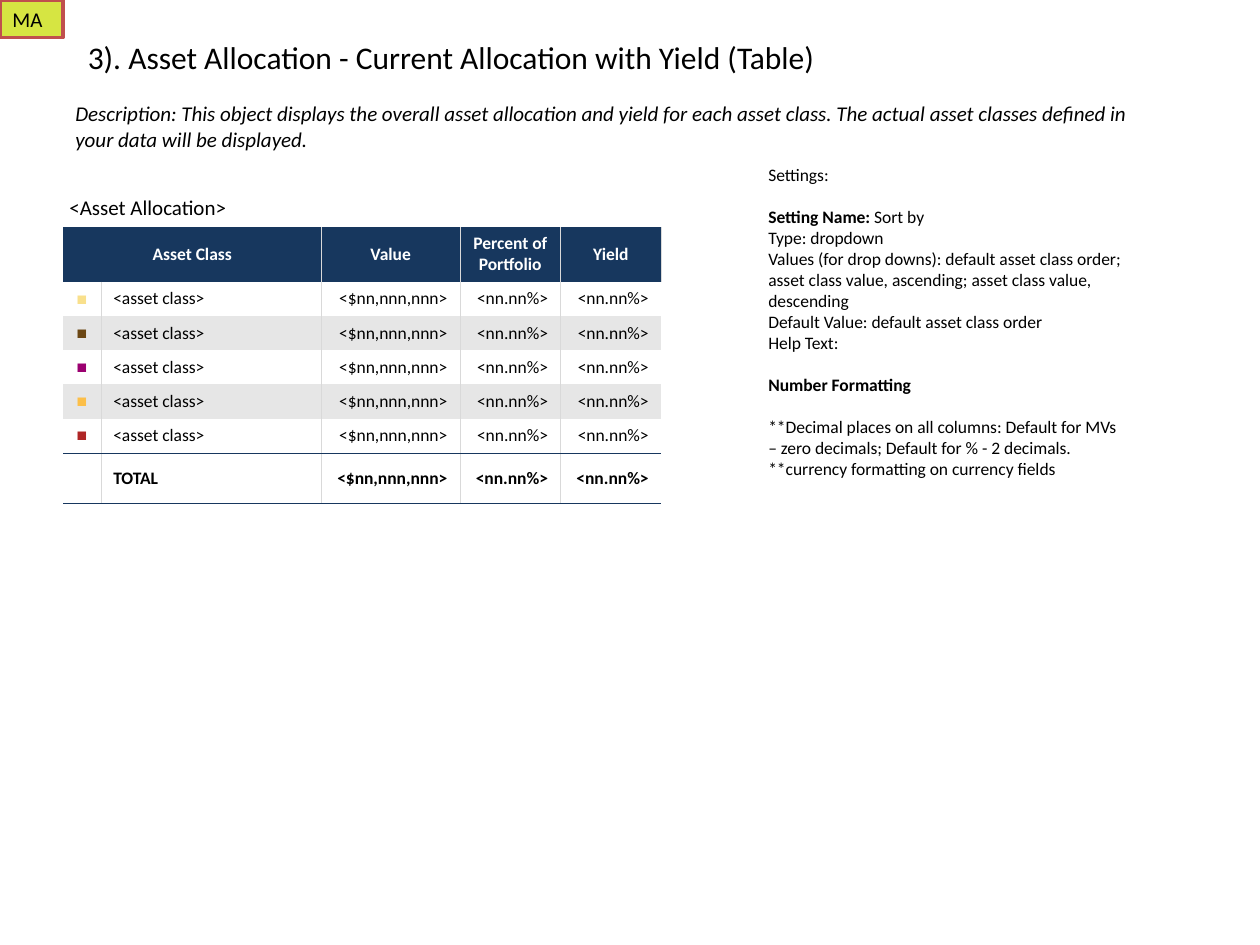
import pptx
import pptx.chart.data
import pptx.dml.color
import pptx.enum.shapes
import pptx.enum.text
import pptx.oxml
import pptx.oxml.ns
import pptx.util
from lxml import etree

Cm = pptx.util.Cm
Pt = pptx.util.Pt
ALIGN = pptx.enum.text.PP_ALIGN
ANCHOR = pptx.enum.text.MSO_ANCHOR

COLORS = {
    "text": "000000",
    "white": "FFFFFF",
    "navy": "17375E",
    "band": "E6E6E6",
    "grid": "D9D9D9",
    "tag_fill": "D6E542",
    "tag_line": "C0504D",
}
ASSET_COLORS = ["F9E08C", "6B4714", "9B0070", "FCBF49", "AF2626"]
COLUMN_WIDTHS = [0.76, 4.45, 2.79, 2.03, 2.03]
ROW_HEIGHTS = [0.76, 1.11] + [0.69] * 5 + [1.01]
COLUMN_ALIGNS = [ALIGN.CENTER, ALIGN.LEFT] + [ALIGN.RIGHT] * 3
HEADINGS = ["Asset Class", "", "Value", "Percent of Portfolio", "Yield"]
AMOUNTS = ["<$nn,nnn,nnn>", "<nn.nn%>", "<nn.nn%>"]
PLAIN_TABLE_STYLE = "{2D5ABB26-0587-4C30-8999-92F81FD0307C}"
SETTINGS = [
    (0, [("Settings:", False)]),
    (12, [("Setting Name:", True), (" Sort by", False)]),
    (0, [("Type: dropdown", False)]),
    (0, [("Values (for drop downs): default asset class order; asset class value, "
          "ascending; asset class value, descending", False)]),
    (0, [("Default Value: default asset class order", False)]),
    (0, [("Help Text:", False)]),
    (12, [("Number Formatting", True)]),
    (12, [("**Decimal places on all columns: Default for MVs – zero decimals; "
           "Default for % - 2 decimals.", False)]),
    (0, [("**currency formatting on currency fields", False)]),
]


def rgb(color):
    return pptx.dml.color.RGBColor.from_string(color)


class SlideWriter:
    font = "Calibri"

    def __init__(self, slide):
        self.slide = slide

    def style(self, run, size, color=COLORS["text"], bold=False, italic=False, font=None):
        run.font.name = font or self.font
        run.font.size = Pt(size)
        run.font.bold = bold
        run.font.italic = italic
        run.font.color.rgb = rgb(color)

    def text(self, box, paragraphs, size, italic=False, wrap=True, anchor=ANCHOR.TOP):
        area = self.slide.shapes.add_textbox(*map(Cm, box))
        frame = area.text_frame
        frame.word_wrap = wrap
        frame.vertical_anchor = anchor
        frame.auto_size = pptx.enum.text.MSO_AUTO_SIZE.SHAPE_TO_FIT_TEXT
        for index, (gap, pieces) in enumerate(paragraphs):
            paragraph = frame.add_paragraph() if index else frame.paragraphs[0]
            if gap:
                paragraph.space_before = Pt(gap)
            for words, bold in pieces:
                run = paragraph.add_run()
                run.text = words
                self.style(run, size, bold=bold, italic=italic)

    def tag(self, box, label):
        tag = self.slide.shapes.add_shape(
            pptx.enum.shapes.MSO_SHAPE.RECTANGLE, *map(Cm, box))
        tag.shadow.inherit = False
        tag.fill.solid()
        tag.fill.fore_color.rgb = rgb(COLORS["tag_fill"])
        tag.line.color.rgb = rgb(COLORS["tag_line"])
        tag.line.width = Pt(2)
        tag.text_frame.text = label
        tag.text_frame.vertical_anchor = ANCHOR.TOP
        paragraph = tag.text_frame.paragraphs[0]
        paragraph.alignment = ALIGN.LEFT
        self.style(paragraph.runs[0], 12)

    def table(self, left, top, widths, heights):
        frame = self.slide.shapes.add_table(
            len(heights), len(widths), Cm(left), Cm(top), Cm(sum(widths)), Cm(sum(heights)))
        table = frame.table
        table.first_row = False
        table.horz_banding = False
        table._tbl.tblPr.find(pptx.oxml.ns.qn("a:tableStyleId")).text = PLAIN_TABLE_STYLE
        for column, width in zip(table.columns, widths):
            column.width = Cm(width)
        for row, height in zip(table.rows, heights):
            row.height = Cm(height)
        return table

    def borders(self, cell, sides):
        properties = cell._tc.get_or_add_tcPr()
        for side in "LRTB":
            if side in sides:
                line = etree.SubElement(properties, pptx.oxml.ns.qn(f"a:ln{side}"), w="2920")
                fill = etree.SubElement(line, pptx.oxml.ns.qn("a:solidFill"))
                etree.SubElement(fill, pptx.oxml.ns.qn("a:srgbClr"), val=sides[side])

    def cell(self, cell, words, align, size=10, fill=None, sides=None,
             anchor=ANCHOR.MIDDLE, **look):
        self.borders(cell, sides or {})
        if fill:
            cell.fill.solid()
            cell.fill.fore_color.rgb = rgb(fill)
        else:
            cell.fill.background()
        cell.vertical_anchor = anchor
        if words:
            cell.text_frame.text = words
            paragraph = cell.text_frame.paragraphs[0]
            paragraph.alignment = align
            self.style(paragraph.runs[0], size, **look)

    def allocation(self, left, top):
        table = self.table(left, top, COLUMN_WIDTHS, ROW_HEIGHTS)
        last_column = len(COLUMN_WIDTHS) - 1
        total_row = len(ROW_HEIGHTS) - 1

        caption = table.cell(0, 0)
        caption.merge(table.cell(0, last_column))
        self.cell(caption, "<Asset Allocation>", ALIGN.LEFT, 12, anchor=ANCHOR.BOTTOM)
        caption.margin_left = Cm(0.13)
        table.cell(1, 0).merge(table.cell(1, 1))

        rows = [HEADINGS]
        rows += [["■", "<asset class>"] + AMOUNTS for _ in ASSET_COLORS]
        rows += [["", "TOTAL"] + AMOUNTS]
        for row, values in enumerate(rows, 1):
            header, total = row == 1, row == total_row
            for column, words in enumerate(values):
                sides = {}
                if column > 0 and not (header and column == 1):
                    sides["L"] = COLORS["grid"]
                if column < last_column and not (header and column == 0):
                    sides["R"] = COLORS["grid"]
                if total:
                    sides["T"] = COLORS["navy"]
                if row >= total_row - 1:
                    sides["B"] = COLORS["navy"]
                look = {"bold": header or total, "fill": COLORS["white"]}
                if header:
                    look.update(fill=COLORS["navy"], color=COLORS["white"])
                elif row % 2 and not total:
                    look["fill"] = COLORS["band"]
                if words == "■":
                    look.update(color=ASSET_COLORS[row - 2], font="Arial")
                align = ALIGN.CENTER if header else COLUMN_ALIGNS[column]
                self.cell(table.cell(row, column), words, align, sides=sides, **look)


def main():
    deck = pptx.Presentation()
    deck.slide_width, deck.slide_height = Cm(25.4), Cm(19.05)
    writer = SlideWriter(deck.slides.add_slide(deck.slide_layouts[6]))

    title = "3). Asset Allocation - Current Allocation with Yield (Table)"
    description = ("Description: This object displays the overall asset allocation and yield "
                   "for each asset class. The actual asset classes defined in your data "
                   "will be displayed.")
    writer.text((1.52, 0.64, 15.27, 1.02), [(0, [(title, False)])], 18, wrap=False)
    writer.allocation(1.27, 3.81)
    writer.text((1.27, 1.91, 22.23, 1.27), [(0, [(description, False)])], 12,
                italic=True, anchor=ANCHOR.MIDDLE)
    writer.text((15.24, 3.18, 7.62, 7.47), SETTINGS, 10)
    writer.tag((0, 0, 1.27, 0.76), "MA")
    deck.save("out.pptx")


if __name__ == "__main__":
    main()
